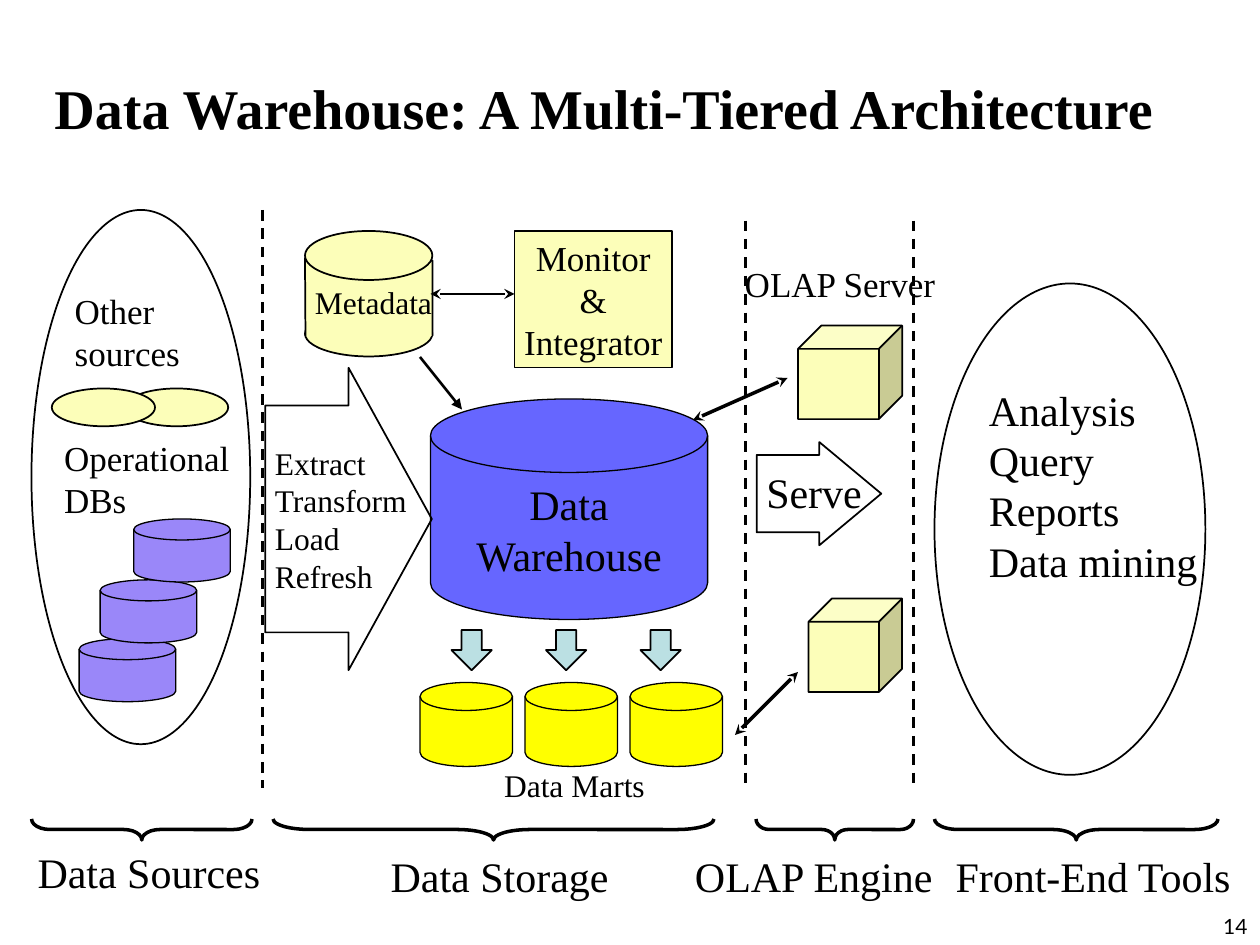
"""Build the multi-tiered data warehouse architecture slide."""
from lxml import etree
from pptx import Presentation
from pptx.dml.color import RGBColor
from pptx.enum.dml import MSO_LINE
from pptx.enum.shapes import MSO_CONNECTOR, MSO_SHAPE
from pptx.enum.text import MSO_ANCHOR, PP_ALIGN
from pptx.oxml.ns import qn
from pptx.util import Pt

BLACK = RGBColor(0x00, 0x00, 0x00)
WHITE = RGBColor(0xFF, 0xFF, 0xFF)
BLUE = RGBColor(0x66, 0x66, 0xFF)
PURPLE = RGBColor(0x9A, 0x87, 0xF9)
CREAM = RGBColor(0xFC, 0xFE, 0xB9)
YELLOW = RGBColor(0xFF, 0xFF, 0x00)
TEAL = RGBColor(0xBB, 0xE0, 0xE3)

CYLINDER = MSO_SHAPE.FLOWCHART_MAGNETIC_DISK
OVAL = MSO_SHAPE.OVAL
RECT = MSO_SHAPE.RECTANGLE
CUBE = MSO_SHAPE.CUBE
RIGHT_ARROW = MSO_SHAPE.RIGHT_ARROW
DOWN_ARROW = MSO_SHAPE.DOWN_ARROW
BRACE = MSO_SHAPE.RIGHT_BRACE
STRAIGHT = MSO_CONNECTOR.STRAIGHT
DASH = MSO_LINE.DASH
LEFT, CENTER, RIGHT = PP_ALIGN.LEFT, PP_ALIGN.CENTER, PP_ALIGN.RIGHT
TOP, MIDDLE, BOTTOM = MSO_ANCHOR.TOP, MSO_ANCHOR.MIDDLE, MSO_ANCHOR.BOTTOM

SERIF = "Times New Roman"
PADDED = (7.2, 3.6)
TIGHT = (0, 0)

TITLE = "Data Warehouse: A Multi-Tiered Architecture"
TITLE_BOX = (24, 36, 672, 48)
PAGE_NUMBER = "14"
PAGE_NUMBER_BOX = (570, 504, 150, 36)

MONITOR = ["Monitor", "&", "Integrator"]
MONITOR_BOX = (294, 132, 90, 78)

WAREHOUSE = (CYLINDER, (246, 228, 158.4, 126), BLUE)
FRONT_END_OVAL = (OVAL, (534, 162, 154.8, 280.8), None)
METADATA_BASE = (OVAL, (174.3, 177.7, 72.8, 26), CREAM)
METADATA_BODY = [(174.6, 192), (174.3, 147.6), (247.2, 149), (247.2, 192)]
METADATA_LID = (OVAL, (174.3, 132, 72.8, 28), CREAM)
CUBES = [(456, 186, 59.5, 53.5), (462, 342, 53.5, 53.5)]
SOURCE_OVALS = [
    (OVAL, (71.4, 222, 59, 21.6), CREAM),
    (OVAL, (18, 120, 125, 305.3), None),
    (OVAL, (29.6, 222, 59, 21.6), CREAM),
]
OPERATIONAL_DBS = [(45.2, 365), (57.2, 331.4), (76.4, 296.6)]
BLOCK_ARROWS = [
    ((432.4, 252.6, 71.2, 59), 0.75, 0.6),
    ((151.6, 210.2, 95.2, 172.8), 0.75, 0.5),
]
MART_COUNT = 3

DIVIDERS = [(150, 120), (426, 126), (522, 126)]
DIVIDER_END = 450
LINKS = [
    ((246, 168), (294, 168), 1, "stealth", "stealth"),
    ((396, 240), (450, 216), 2, "stealth", "stealth"),
    ((420, 420), (456, 384), 2, "stealth", "stealth"),
    ((240, 204), (264, 234), 1.5, None, "triangle"),
]
TIER_SPANS = [(18, 144), (156, 408), (432, 522), (534, 696)]
BRACE_TOP, BRACE_DEPTH = 468, 12

LABELS = [
    (["Data", "Warehouse"], (264, 270, 122.4, 64.8), 24, CENTER, PADDED, False),
    (["Extract", "Transform", "Load", "Refresh"], (150, 250, 90.7, 93.6), 18, LEFT, PADDED, False),
    (["Analysis", "Query", "Reports", "Data mining"], (558, 216, 133.9, 122.4), 24, LEFT, PADDED, False),
    (["Metadata"], (180, 162, 67, 21.6), 18, LEFT, TIGHT, False),
    (["Serve"], (430.8, 262.8, 69.1, 36), 24, LEFT, PADDED, False),
    (["Data Marts"], (288, 438, 80.6, 21.6), 18, CENTER, TIGHT, False),
    (["Operational", "DBs"], (29.5, 246, 114.5, 55.4), 20, LEFT, PADDED, False),
    (["Other", "sources"], (35.6, 162, 86.4, 55.4), 20, LEFT, PADDED, True),
    (["OLAP Server"], (420, 150, 120, 24), 20, CENTER, TIGHT, True),
    (["Data Sources"], (14.4, 480, 141.8, 36), 24, LEFT, PADDED, False),
    (["Data Storage"], (223.2, 486, 124.6, 28.8), 24, LEFT, TIGHT, False),
    (["OLAP Engine"], (390, 486, 150, 28.8), 24, CENTER, TIGHT, True),
    (["Front-End Tools"], (546, 486, 159.1, 28.8), 24, LEFT, TIGHT, False),
]


def points(values):
    return [Pt(value) for value in values]


def style(shape, fill, line_width):
    shape.shadow.inherit = False
    if fill is None:
        shape.fill.background()
    else:
        shape.fill.solid()
        shape.fill.fore_color.rgb = fill
    shape.line.color.rgb = BLACK
    shape.line.width = Pt(line_width)


def draw(shapes, kind, box, fill=None, line_width=1):
    shape = shapes.add_shape(kind, *points(box))
    style(shape, fill, 0.75 if kind == CYLINDER else line_width)
    return shape


def write(shape, lines, size, align=LEFT, inset=PADDED, wrap=False,
          anchor=TOP, font=SERIF, bold=False):
    frame = shape.text_frame
    frame.word_wrap = wrap
    frame.vertical_anchor = anchor
    frame.margin_left = frame.margin_right = Pt(inset[0])
    frame.margin_top = frame.margin_bottom = Pt(inset[1])
    for index, line in enumerate(lines):
        paragraph = frame.add_paragraph() if index else frame.paragraphs[0]
        paragraph.alignment = align
        run = paragraph.add_run()
        run.text = line
        run.font.name = font
        run.font.size = Pt(size)
        run.font.bold = bold
        run.font.color.rgb = BLACK


def connect(shapes, start, end, width, head=None, tail=None, dash=None):
    connector = shapes.add_connector(STRAIGHT, *points(start + end))
    connector.line.color.rgb = BLACK
    connector.line.width = Pt(width)
    if dash is not None:
        connector.line.dash_style = dash
    outline = connector.line._get_or_add_ln()
    for tag, ending in (("a:headEnd", head), ("a:tailEnd", tail)):
        if ending:
            etree.SubElement(outline, qn(tag), type=ending)
    etree.SubElement(connector._element.spPr, qn("a:effectLst"))


def draw_metadata(shapes):
    draw(shapes, *METADATA_BASE)
    corners = [tuple(points(corner)) for corner in METADATA_BODY]
    builder = shapes.build_freeform(*corners[0])
    builder.add_line_segments(corners[1:], close=False)
    style(builder.convert_to_shape(), CREAM, 1)
    draw(shapes, *METADATA_LID)


def draw_brace(shapes, start, end):
    span = end - start
    left = (start + end - BRACE_DEPTH) / 2
    top = BRACE_TOP + (BRACE_DEPTH - span) / 2
    brace = draw(shapes, BRACE, (left, top, BRACE_DEPTH, span), line_width=2)
    brace.rotation = 90
    brace.adjustments[0] = span / 12 / BRACE_DEPTH


def main():
    deck = Presentation()
    deck.slide_width, deck.slide_height = Pt(720), Pt(540)
    shapes = deck.slides.add_slide(deck.slide_layouts[6]).shapes

    title = shapes.add_textbox(*points(TITLE_BOX))
    title.fill.solid()
    title.fill.fore_color.rgb = WHITE
    write(title, [TITLE], 32, wrap=True, anchor=BOTTOM, bold=True)
    page_number = shapes.add_textbox(*points(PAGE_NUMBER_BOX))
    write(page_number, [PAGE_NUMBER], 12, RIGHT, wrap=True, anchor=BOTTOM, font="Lato")

    for item in [WAREHOUSE, FRONT_END_OVAL, *SOURCE_OVALS]:
        draw(shapes, *item)
    for left, top in OPERATIONAL_DBS:
        draw(shapes, CYLINDER, (left, top, 55.2, 36), PURPLE)
    for box, shaft, point in BLOCK_ARROWS:
        arrow = draw(shapes, RIGHT_ARROW, box)
        arrow.adjustments[0], arrow.adjustments[1] = shaft, point
    monitor = draw(shapes, RECT, MONITOR_BOX, CREAM)
    write(monitor, MONITOR, 20, CENTER, anchor=MIDDLE)
    draw_metadata(shapes)
    for box in CUBES:
        draw(shapes, CUBE, box, CREAM)
    for index in range(MART_COUNT):
        draw(shapes, DOWN_ARROW, (258 + 54 * index, 360, 23, 23), TEAL)
        draw(shapes, CYLINDER, (240 + 60 * index, 390, 52.8, 48), YELLOW)

    for x, top in DIVIDERS:
        connect(shapes, (x, top), (x, DIVIDER_END), 1.5, dash=DASH)
    for link in LINKS:
        connect(shapes, *link)
    for span in TIER_SPANS:
        draw_brace(shapes, *span)
    for lines, box, size, align, inset, wrap in LABELS:
        write(shapes.add_textbox(*points(box)), lines, size, align, inset, wrap)

    deck.save("out.pptx")


if __name__ == "__main__":
    main()
